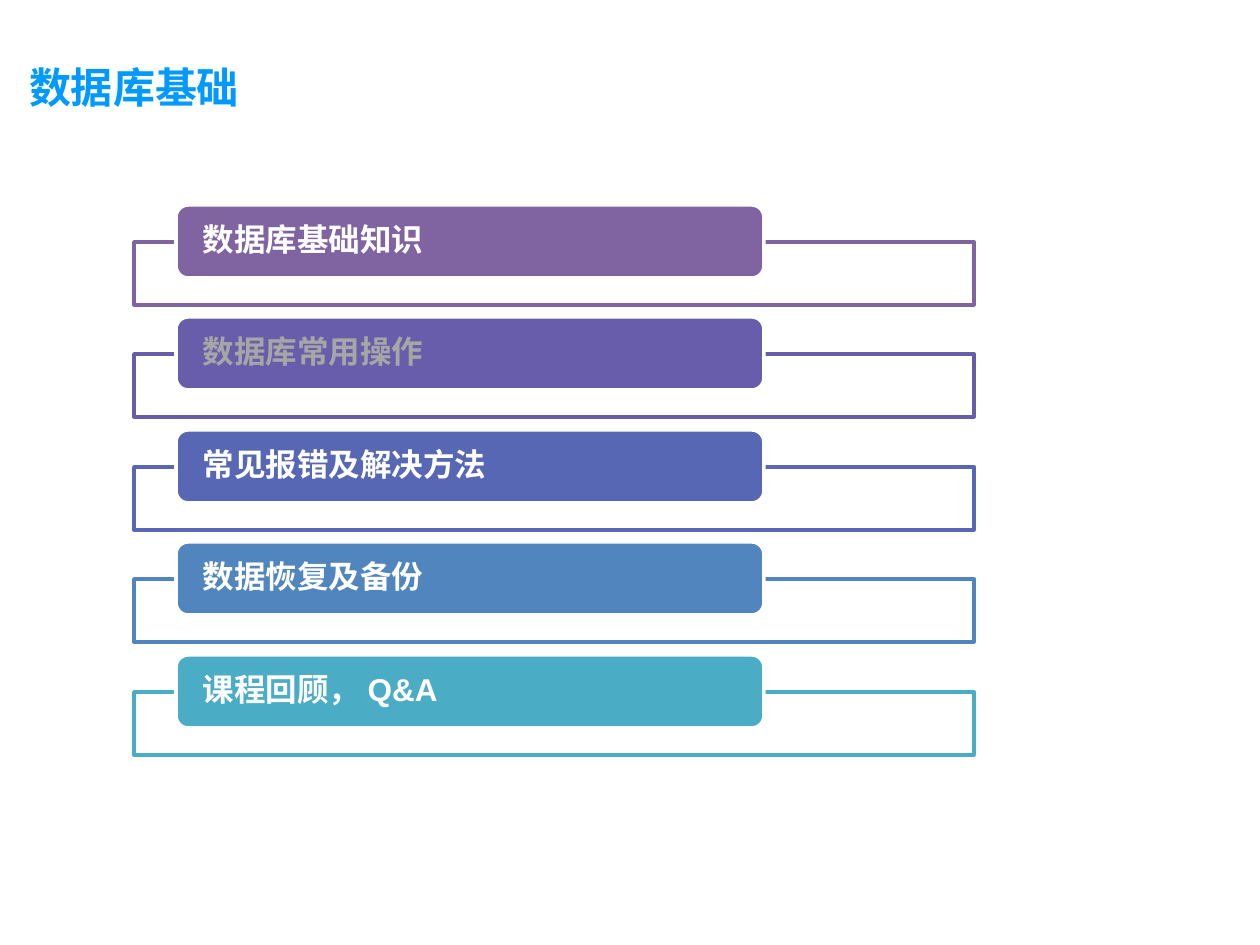
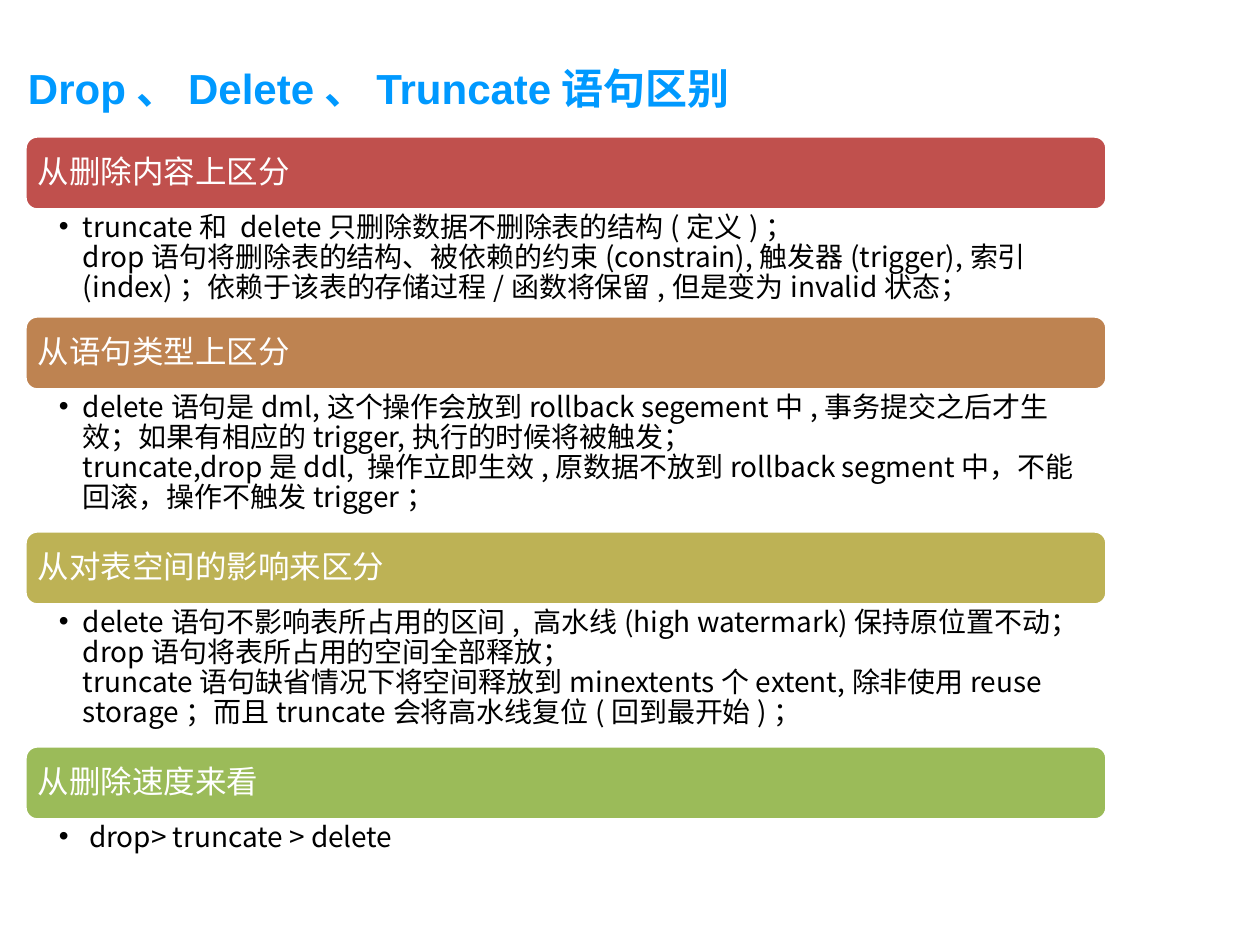
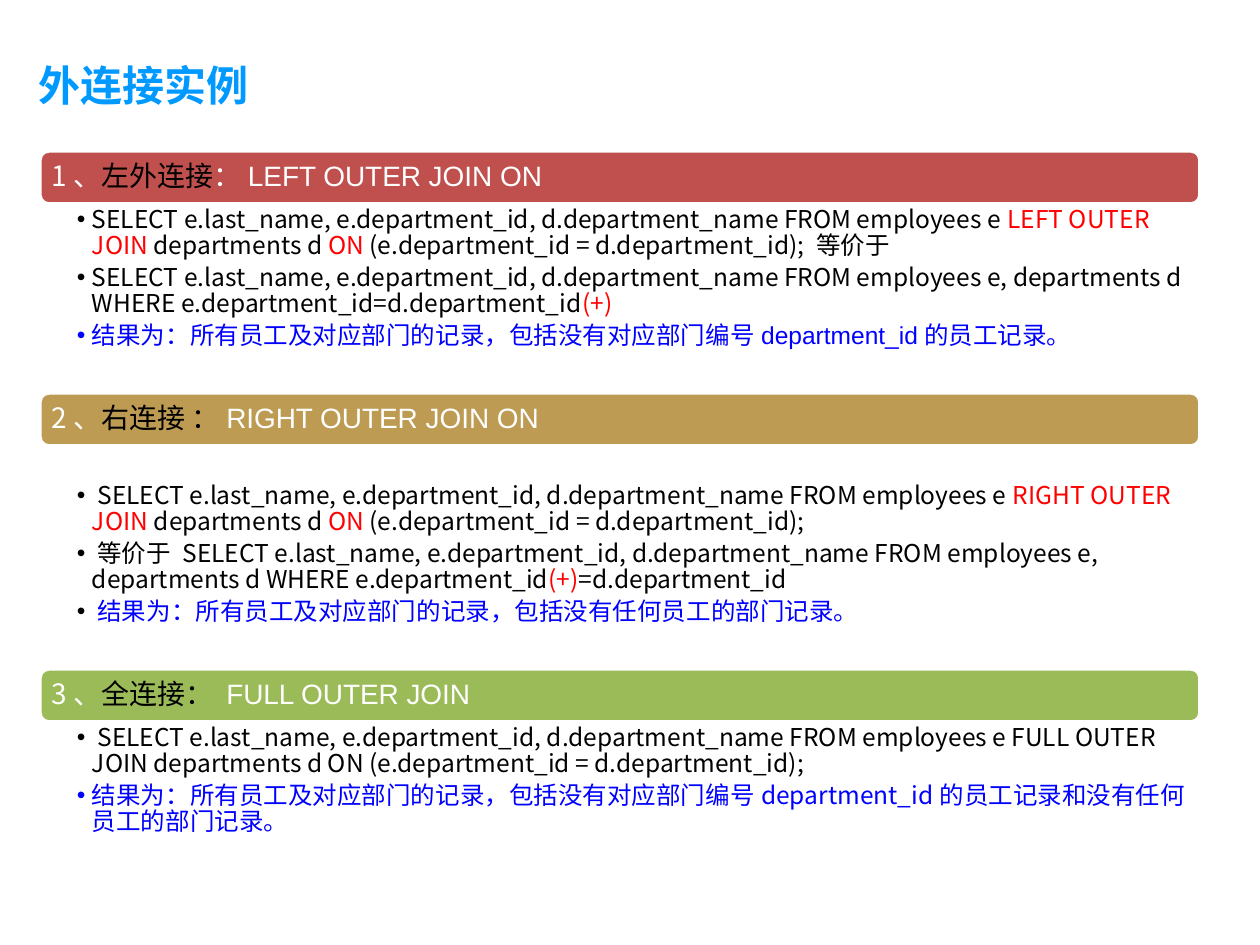
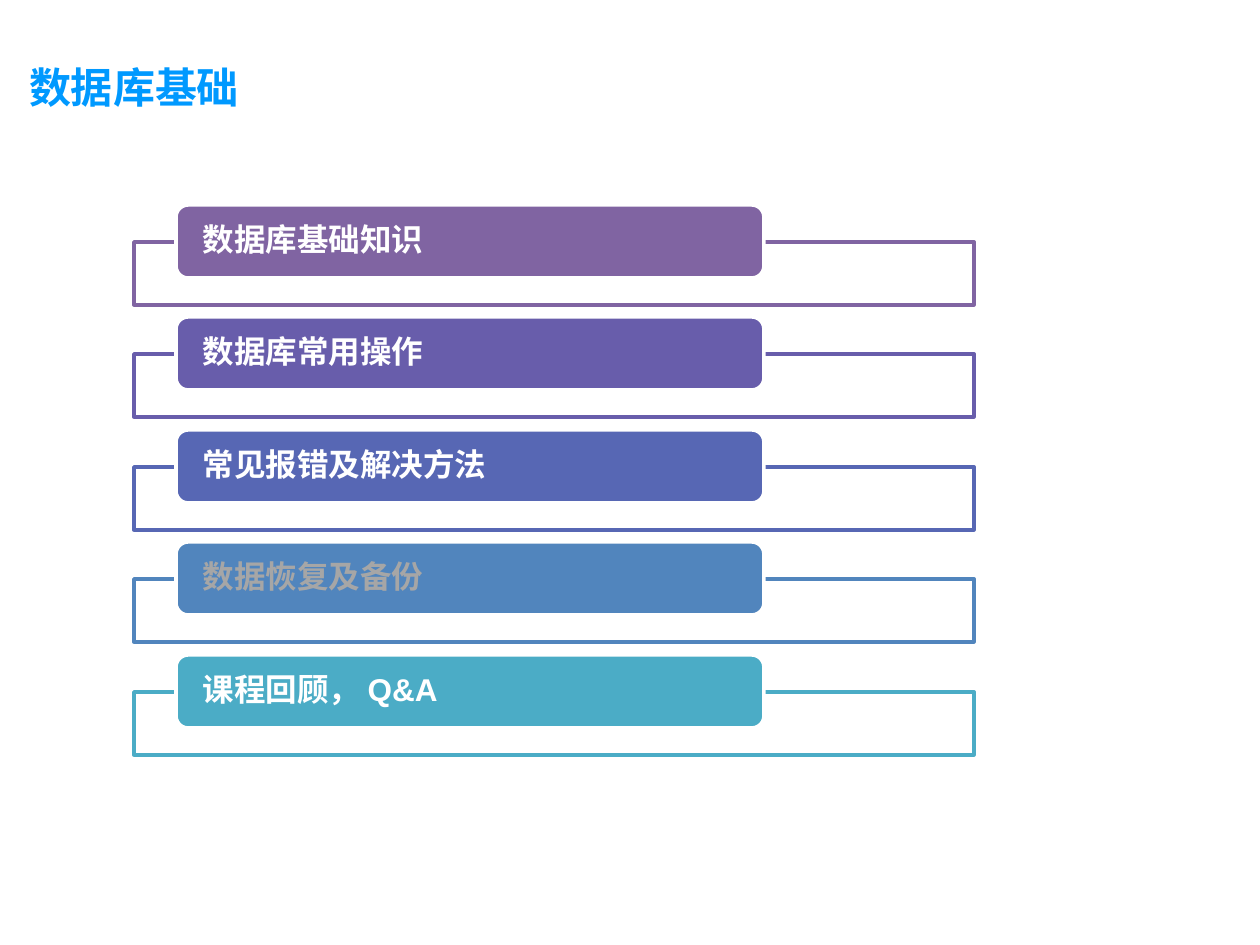
from pptx import Presentation
from pptx.dml.color import RGBColor
from pptx.enum.shapes import MSO_SHAPE as Shape
from pptx.enum.text import MSO_ANCHOR as Anchor, PP_ALIGN as Align
from pptx.oxml.ns import qn
from pptx.util import Emu, Pt
from lxml.etree import SubElement

COLORS = {
    "title": "0099FF", "white": "FFFFFF", "black": "000000", "muted": "A6A6A6",
    "red": "FF0000", "blue": "0000FF",
    "crimson": "C0504D", "copper": "BE8351", "ochre": "BD9B53", "olive": "BDB255", "green": "9BBB59",
    "purple": "8064A2", "violet": "685DAB", "indigo": "5767B4", "steel": "5185BD", "teal": "4BACC6",
}
LATIN, CJK = "Arial", "Noto Sans CJK SC"
RED = {"color": "red"}
BLUE = {"color": "blue"}
BLACK = {"color": "black", "font": LATIN}
NUMBER = {"font": CJK}

AGENDA_TITLE = "数据库基础"
AGENDA = [
    ("数据库基础知识", "purple"),
    ("数据库常用操作", "violet"),
    ("常见报错及解决方法", "indigo"),
    ("数据恢复及备份", "steel"),
    ("课程回顾，Q&A", "teal"),
]

SELECT = "SELECT e.last_name, e.department_id, d.department_name FROM employees e"
MATCH = "(e.department_id = d.department_id);"

DIFFERENCES = {
    "title": "Drop、Delete、Truncate语句区别",
    "title_box": (15, 31, 800, 63),
    "left": 25, "top": 136, "width": 1082, "band_height": 74,
    "band_size": 18, "body_size": 16, "body_insets": (34, 3, 15, 3), "hanging": 24,
    "sections": [
        {"heading": ["从删除内容上区分"], "color": "crimson", "height": 106, "points": [[
            "truncate和 delete只删除数据不删除表的结构(定义)；\n"
            "drop语句将删除表的结构、被依赖的约束(constrain),触发器(trigger),索引(index)；"
            "依赖于该表的存储过程/函数将保留,但是变为invalid状态；"]]},
        {"heading": ["从语句类型上区分"], "color": "copper", "height": 141, "points": [[
            "delete语句是dml,这个操作会放到rollback segement中,事务提交之后才生效；"
            "如果有相应的trigger,执行的时候将被触发；\n"
            "truncate,drop是ddl, 操作立即生效,原数据不放到rollback segment中，不能回滚，操作不触发trigger；"]]},
        {"heading": ["从对表空间的影响来区分"], "color": "olive", "height": 141, "points": [[
            "delete语句不影响表所占用的区间, 高水线(high watermark)保持原位置不动；\n"
            "drop语句将表所占用的空间全部释放；\n"
            "truncate语句缺省情况下将空间释放到minextents个extent,除非使用reuse storage；"
            "而且truncate会将高水线复位(回到最开始)；"]]},
        {"heading": ["从删除速度来看"], "color": "green", "height": 67, "points": [
            [" drop> truncate > delete"]]},
    ],
}

OUTER_JOINS = {
    "title": "外连接实例",
    "title_box": (26, 28, 529, 69),
    "left": 40, "top": 151, "width": 1160, "band_height": 53,
    "band_size": 16, "body_size": 14, "body_insets": (37, 3, 14, 3), "hanging": 15,
    "sections": [
        {"heading": [("1、", NUMBER), ("左外连接", BLACK), "：LEFT OUTER JOIN ON"],
         "color": "crimson", "height": 189, "points": [
            [SELECT + " ", ("LEFT OUTER JOIN ", RED), "departments d ", ("ON", RED), f" {MATCH} 等价于"],
            [SELECT + ", departments d WHERE e.department_id=d.department_id", ("(+)", RED)],
            [("结果为：所有员工及对应部门的记录，包括没有对应部门编号department_id的员工记录。",
              {"color": "blue", "font": LATIN})]]},
        {"heading": [("2、", NUMBER), ("右连接 ：", BLACK), "RIGHT OUTER JOIN ON"],
         "color": "ochre", "height": 223, "lead": 34, "points": [
            [f" {SELECT} ", ("RIGHT OUTER JOIN", RED), " departments d ", ("ON ", RED), MATCH],
            [f" 等价于 {SELECT}, departments d WHERE e.department_id", ("(+)", RED), "=d.department_id"],
            [" ", ("结果为：所有员工及对应部门的记录，包括没有任何员工的部门记录。", BLUE)]]},
        {"heading": [("3、", NUMBER), ("全连接： ", BLACK), "FULL OUTER JOIN"],
         "color": "green", "height": 122, "points": [
            [f" {SELECT} FULL OUTER JOIN departments d ON {MATCH}"],
            [("结果为：所有员工及对应部门的记录，包括没有对应部门编号department_id的员工记录"
              "和没有任何员工的部门记录。", BLUE)]]},
    ],
}


def px(length):
    return Emu(round(length * 914400 / 126))


def rgb(name):
    return RGBColor.from_string(COLORS[name])


def style(font, color, size, name, bold):
    font.size, font.bold, font.name = Pt(size), bold, name
    font.color.rgb = rgb(color)


def add_bullet(paragraph, hanging):
    properties = paragraph._p.get_or_add_pPr()
    properties.set("marL", str(px(hanging)))
    properties.set("indent", str(-px(hanging)))
    properties.set("hangingPunct", "0")
    SubElement(properties, qn("a:buFont")).set("typeface", LATIN)
    SubElement(properties, qn("a:buChar")).set("char", "•")


def write(frame, paragraphs, color="white", size=18, font=LATIN, bold=False, anchor=Anchor.TOP,
          insets=(13, 6, 13, 6), spacing=0.9, after=0, hanging=0):
    frame.word_wrap = True
    frame.vertical_anchor = anchor
    frame.margin_left, frame.margin_top, frame.margin_right, frame.margin_bottom = map(px, insets)
    for index, pieces in enumerate(paragraphs):
        paragraph = frame.paragraphs[0] if index == 0 else frame.add_paragraph()
        paragraph.alignment = Align.LEFT
        paragraph.line_spacing = spacing
        paragraph.space_after = Pt(after)
        if hanging:
            add_bullet(paragraph, hanging)
        for piece in pieces:
            text, changes = (piece, {}) if isinstance(piece, str) else piece
            for line_index, line in enumerate(text.split("\n")):
                if line_index:
                    paragraph.add_line_break()
                run = paragraph.add_run()
                run.text = line
                style(run.font, changes.get("color", color), size, changes.get("font", font), bold)
                SubElement(run._r.get_or_add_rPr(), qn("a:ea")).set("typeface", CJK)


def add_text(slide, box, paragraphs, **text_format):
    write(slide.shapes.add_textbox(*map(px, box)).text_frame, paragraphs, **text_format)


def add_block(slide, kind, box, fill, line):
    block = slide.shapes.add_shape(kind, *map(px, box))
    block.shadow.inherit = False
    block.fill.solid()
    block.fill.fore_color.rgb = rgb(fill)
    block.line.color.rgb = rgb(line)
    block.line.width = Pt(2)
    return block


def add_band(slide, box, fill, heading, **text_format):
    band = add_block(slide, Shape.ROUNDED_RECTANGLE, box, fill, "white")
    write(band.text_frame, [heading], anchor=Anchor.MIDDLE, after=6, **text_format)


def start_slide(deck, title, box):
    slide = deck.slides.add_slide(deck.slide_layouts[6])
    add_text(slide, box, [[title]], color="title", size=24, bold=True, spacing=1.5)
    return slide


def agenda_slide(deck, current):
    slide = start_slide(deck, AGENDA_TITLE, (16, 30, 701, 79))
    for index, (topic, color) in enumerate(AGENDA):
        top = 205 + index * 225 // 2
        add_block(slide, Shape.RECTANGLE, (134, top + 37, 840, 63), "white", color)
        add_band(slide, (176, top, 588, 73), color, [topic], bold=True, insets=(23, 0, 23, 0),
                 color="muted" if index == current else "white")


def sections_slide(deck, page):
    slide = start_slide(deck, page["title"], page["title_box"])
    left, top, width, band_height = (page[key] for key in ("left", "top", "width", "band_height"))
    inset_left, inset_top, inset_right, inset_bottom = page["body_insets"]
    for section in page["sections"]:
        add_band(slide, (left, top, width, band_height), section["color"], section["heading"],
                 size=page["band_size"], insets=(9, 9, 9, 9))
        top += band_height
        add_text(slide, (left, top, width, section["height"]), section["points"],
                 color="black", size=page["body_size"], font=CJK, after=3, hanging=page["hanging"],
                 insets=(inset_left, inset_top + section.get("lead", 0), inset_right, inset_bottom))
        top += section["height"]


def main():
    deck = Presentation()
    deck.slide_width, deck.slide_height = px(1260), px(945)
    agenda_slide(deck, current=1)
    sections_slide(deck, DIFFERENCES)
    sections_slide(deck, OUTER_JOINS)
    agenda_slide(deck, current=3)
    deck.save("out.pptx")


if __name__ == "__main__":
    main()
